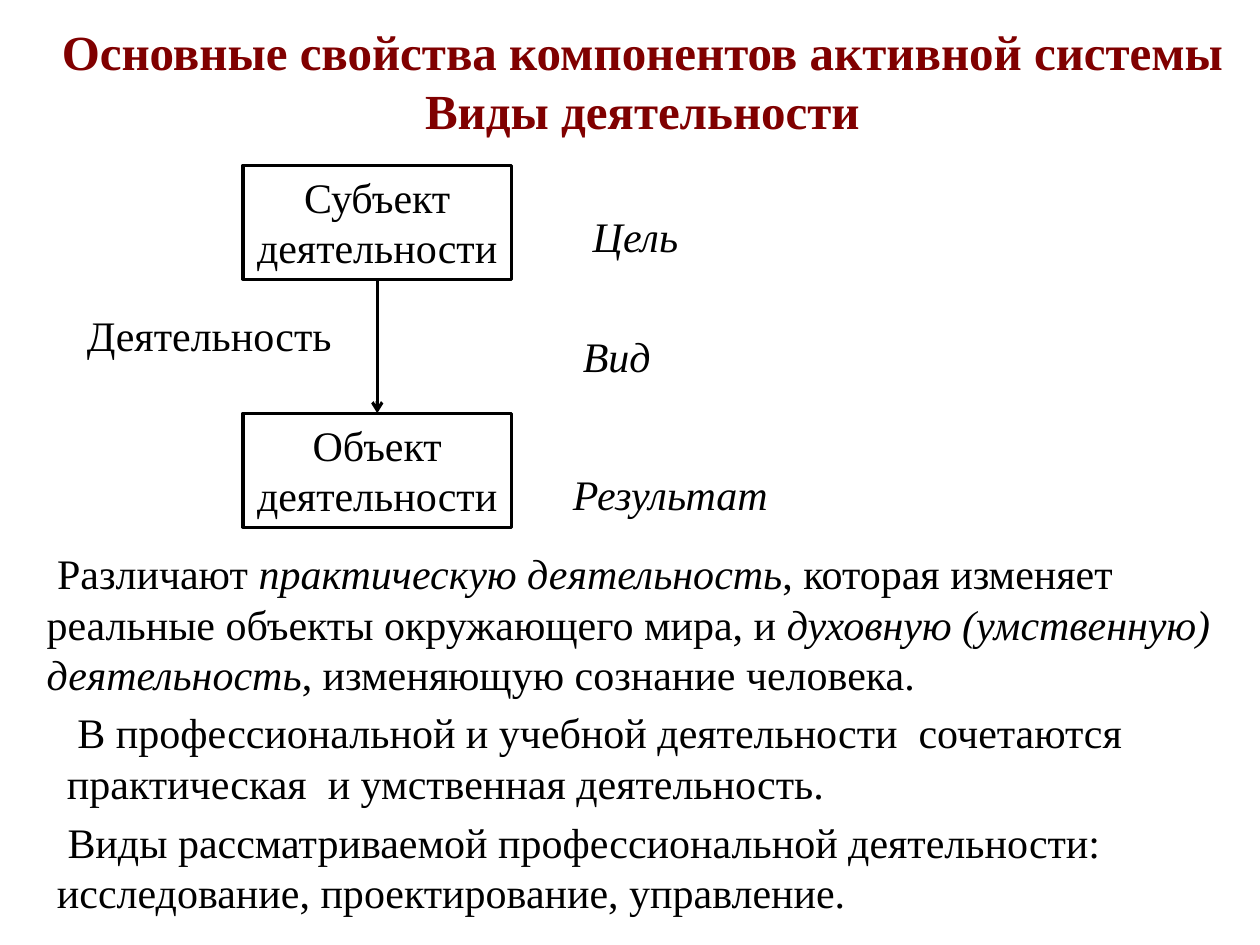
from lxml.etree import SubElement
from pptx import Presentation
from pptx.dml.color import RGBColor
from pptx.enum.shapes import MSO_CONNECTOR as Link, MSO_SHAPE as Form
from pptx.enum.text import MSO_ANCHOR as Anchor, PP_ALIGN as Align
from pptx.oxml.ns import qn
from pptx.util import Cm, Pt

BLACK = RGBColor(0, 0, 0)
MAROON = RGBColor(0x80, 0, 0)


class Board:
    """Holds the text and line style and draws elements on one slide."""

    font = "Times New Roman"
    size = Pt(24)
    width = Pt(1.75)

    def __init__(self, slide):
        self.slide = slide

    def add_text(self, para, text, color=BLACK, size=None, bold=False, slant=False):
        run = para.add_run()
        run.text = text
        font = run.font
        font.name, font.size = self.font, size or self.size
        font.bold, font.italic = bold, slant
        font.color.rgb = color

    def frame(self, left, top, width, height):
        box = self.slide.shapes.add_textbox(Cm(left), Cm(top), Cm(width), Cm(height))
        box.text_frame.word_wrap = True
        return box.text_frame

    def title(self, place, lines):
        frame = self.frame(*place)
        frame.vertical_anchor = Anchor.MIDDLE
        para = frame.paragraphs[0]
        para.alignment = Align.CENTER
        for num, line in enumerate(lines):
            if num:
                para.add_line_break()
            self.add_text(para, line, MAROON, Pt(28), bold=True)

    def label(self, place, text, slant=True):
        self.add_text(self.frame(*place).paragraphs[0], text, slant=slant)

    def prose(self, place, *paras):
        frame = self.frame(*place)
        for num, parts in enumerate(paras):
            para = frame.add_paragraph() if num else frame.paragraphs[0]
            if not num:
                para._p.get_or_add_pPr().set("indent", str(Pt(6)))
            for step, text in enumerate(parts):
                self.add_text(para, text, slant=step % 2 == 1)

    def block(self, left, top, width, height, text):
        rect = self.slide.shapes.add_shape(
            Form.RECTANGLE, Cm(left), Cm(top), Cm(width), Cm(height))
        rect.shadow.inherit = False
        rect.fill.background()
        rect.line.color.rgb, rect.line.width = BLACK, self.width
        frame = rect.text_frame
        frame.word_wrap = True
        frame.vertical_anchor = Anchor.TOP
        para = frame.paragraphs[0]
        para.alignment = Align.CENTER
        self.add_text(para, text)
        return rect

    def arrow(self, start, end):
        line = self.slide.shapes.add_connector(Link.STRAIGHT, 0, 0, 0, 0)
        line.begin_connect(start, 2)
        line.end_connect(end, 0)
        line.line.color.rgb, line.line.width = BLACK, self.width
        SubElement(line.line._get_or_add_ln(), qn("a:tailEnd"), type="arrow")
        SubElement(line._element.spPr, qn("a:effectLst"))


def main():
    deck = Presentation()
    deck.slide_width, deck.slide_height = Cm(25.4), Cm(19.05)
    board = Board(deck.slides.add_slide(deck.slide_layouts[6]))

    board.title((0.5, 0.53, 24.9, 2.2),
                ("Основные свойства компонентов активной системы", "Виды деятельности"))
    actor = board.block(4.9, 3.33, 5.41, 2.3, "Субъект деятельности")
    thing = board.block(4.9, 8.33, 5.41, 2.3, "Объект деятельности")
    board.arrow(actor, thing)

    board.label((1.5, 6.12, 6, 1.27), "Деятельность", slant=False)
    board.label((11.3, 9.33, 6, 1.27), "Результат")
    board.label((11.7, 4.11, 4.2, 1.27), "Цель")
    board.label((11.5, 6.53, 4.2, 1.27), "Вид")

    board.prose((0.69, 10.92, 24.2, 3.3),
                ("Различают ", "практическую деятельность",
                 ", которая изменяет реальные объекты окружающего мира, и ",
                 "духовную (умственную) деятельность",
                 ", изменяющую сознание человека."))
    board.prose((1.1, 14.12, 24.2, 2.3),
                ("В профессиональной и учебной деятельности  сочетаются  "
                 "практическая  и умственная деятельность.",))
    board.prose((0.9, 16.33, 23.6, 2.3),
                ("Виды рассматриваемой профессиональной деятельности:",),
                ("исследование, проектирование, управление.",))
    deck.save("out.pptx")


if __name__ == "__main__":
    main()
